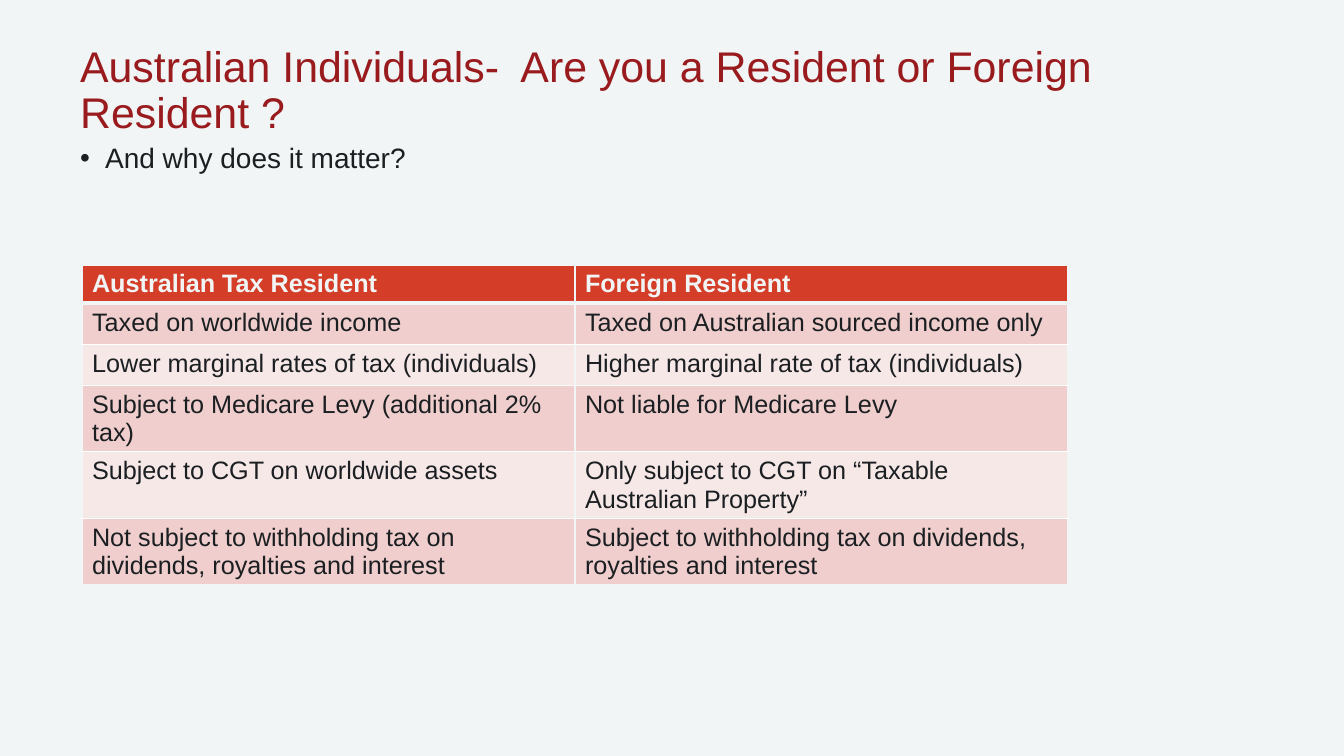
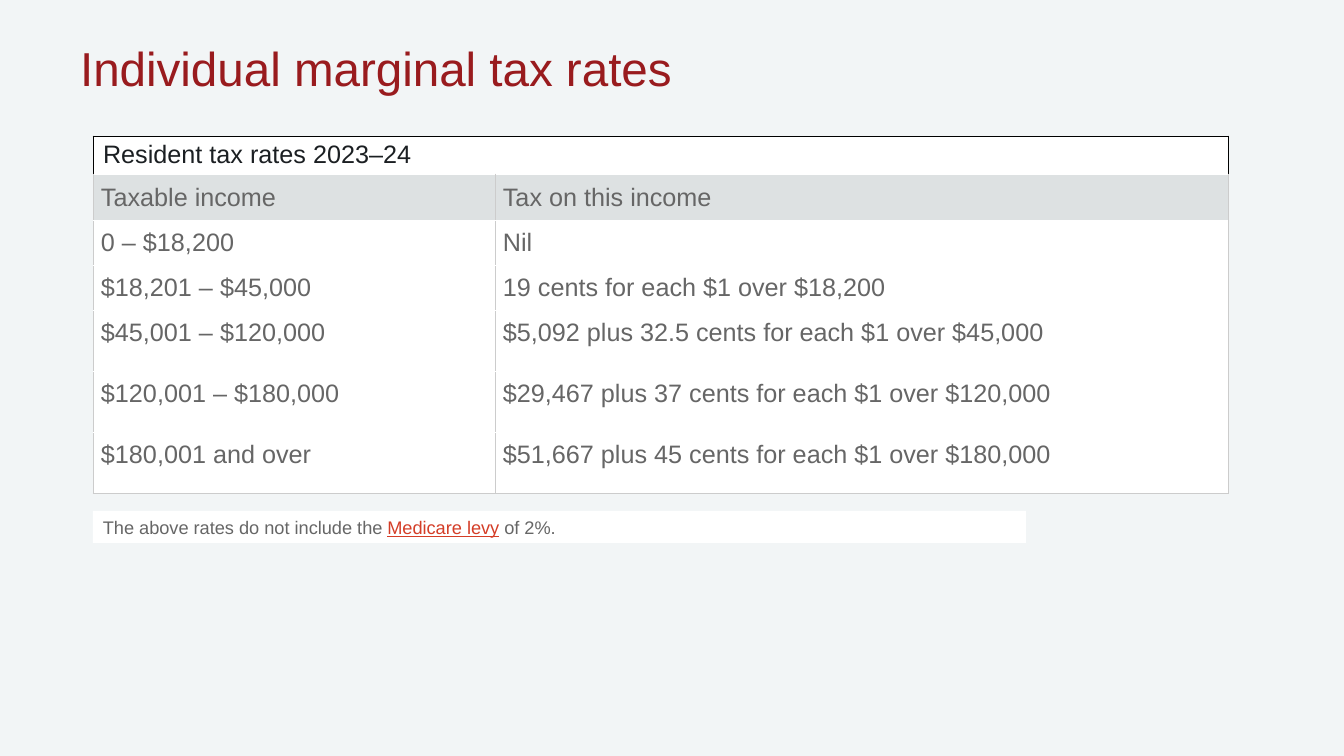
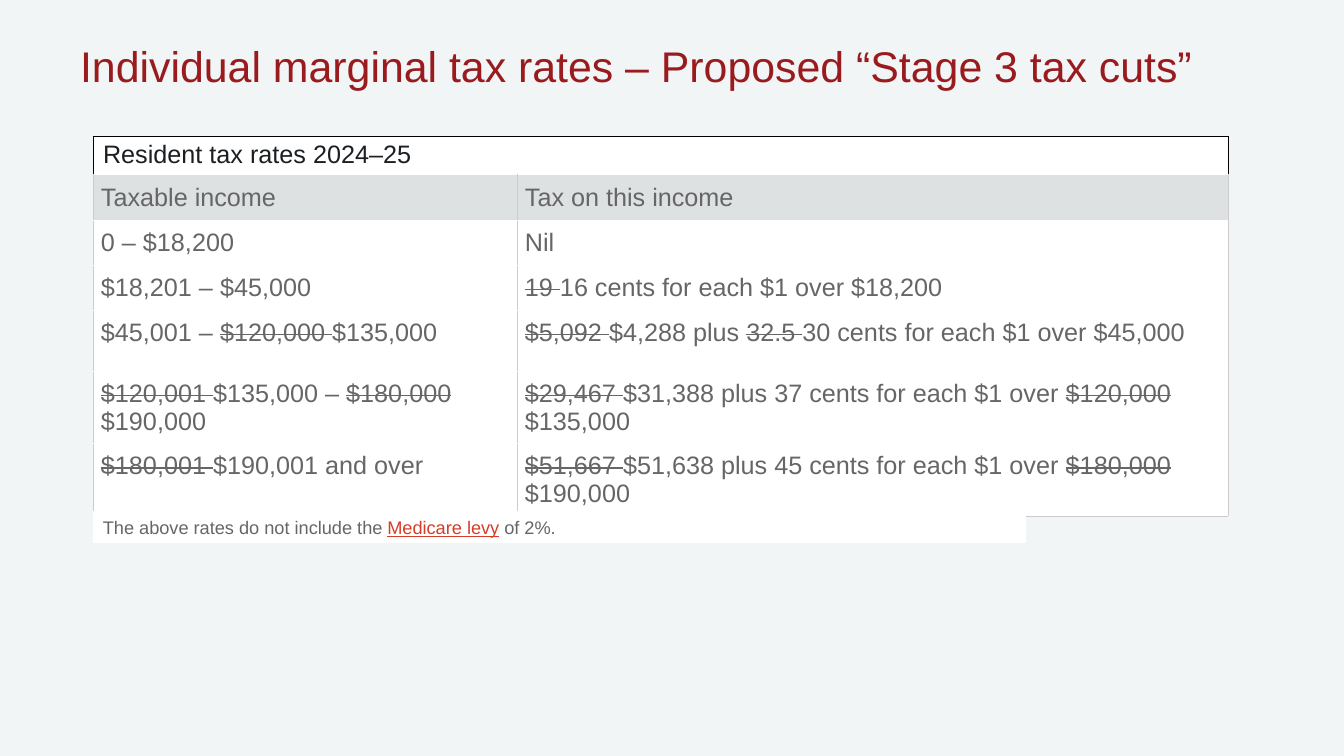
from dataclasses import dataclass
from typing import Sequence, Union

from lxml.etree import SubElement
from pptx import Presentation
from pptx.dml.color import RGBColor
from pptx.enum.shapes import MSO_SHAPE
from pptx.enum.text import MSO_ANCHOR, MSO_AUTO_SIZE, PP_ALIGN
from pptx.oxml.ns import qn
from pptx.slide import Slide
from pptx.util import Emu, Pt

EMU_PER_PIXEL = 12192000 / 1344
FONT = "Arial"
BACKGROUND = "F2F5F6"
TITLE_RED = "991B1E"
ACCENT = "D43D27"
INK = "1B1F22"
GREY = "666666"
WHITE = "FFFFFF"
RULE = "CCCCCC"


@dataclass(frozen=True)
class Run:
    text: str
    color: str = ""
    strike: bool = False
    underline: bool = False


Text = Union[str, Sequence[Run]]


@dataclass(frozen=True)
class RowStyle:
    fill: str
    color: str
    border: str
    sides: str = "LRB"
    width: float = 0.5
    bottom_width: float = 0.5
    bold: bool = False
    inset: int = 0
    anchor: MSO_ANCHOR = MSO_ANCHOR.TOP


@dataclass(frozen=True)
class Row:
    height: int
    style: RowStyle
    cells: Sequence[Text]


@dataclass(frozen=True)
class RateSlide:
    title: str
    title_size: float
    caption: str
    columns: Sequence[int]
    brackets: Sequence[Sequence[Text]]


COMPARISON_HEADER = RowStyle(ACCENT, BACKGROUND, BACKGROUND, "LRTB", 1, 3, True)
COMPARISON_BANDS = [RowStyle(fill, INK, BACKGROUND, width=1, bottom_width=1)
                    for fill in ("EFCECD", "F7E8E8")]
RATE_CAPTION = RowStyle(WHITE, INK, "000000", "LRTB", anchor=MSO_ANCHOR.MIDDLE)
RATE_HEADER = RowStyle("DDE1E2", GREY, RULE, inset=8, anchor=MSO_ANCHOR.MIDDLE)
RATE_BRACKET = RowStyle(WHITE, GREY, RULE, inset=8)
BRACKET_HEIGHTS = (45, 45, 61, 61, 61)

COMPARISON = [
    ("Taxed on worldwide income", "Taxed on Australian sourced income only"),
    ("Lower marginal rates of tax (individuals)", "Higher marginal rate of tax (individuals)"),
    ("Subject to Medicare Levy (additional 2% tax)", "Not liable for Medicare Levy"),
    ("Subject to CGT on worldwide assets", "Only subject to CGT on “Taxable Australian Property”"),
    ("Not subject to withholding tax on dividends, royalties and interest",
     "Subject to withholding tax on dividends, royalties and interest"),
]


def struck(text: str) -> Run:
    return Run(text, strike=True)


RATE_SLIDES = [
    RateSlide("Individual marginal tax rates", 34, "Resident tax rates 2023–24", (402, 733), [
        ("0 – $18,200", "Nil"),
        ("$18,201 – $45,000", "19 cents for each $1 over $18,200"),
        ("$45,001 – $120,000", "$5,092 plus 32.5 cents for each $1 over $45,000"),
        ("$120,001 – $180,000", "$29,467 plus 37 cents for each $1 over $120,000"),
        ("$180,001 and over", "$51,667 plus 45 cents for each $1 over $180,000"),
    ]),
    RateSlide("Individual marginal tax rates – Proposed “Stage 3 tax cuts”", 30.6,
              "Resident tax rates 2024–25", (424, 711), [
        ("0 – $18,200", "Nil"),
        ("$18,201 – $45,000", [struck("19 "), Run("16 cents for each $1 over $18,200")]),
        ([Run("$45,001 – "), struck("$120,000 "), Run("$135,000")],
         [struck("$5,092 "), Run("$4,288 plus "), struck("32.5 "),
          Run("30 cents for each $1 over $45,000")]),
        ([struck("$120,001 "), Run("$135,000 – "), struck("$180,000 "), Run("$190,000")],
         [struck("$29,467 "), Run("$31,388 plus 37 cents for each $1 over "),
          struck("$120,000 "), Run("$135,000")]),
        ([struck("$180,001 "), Run("$190,001 and over")],
         [struck("$51,667 "), Run("$51,638 plus 45 cents for each $1 over "),
          struck("$180,000 "), Run("$190,000")]),
    ]),
]

LEVY_NOTE = [Run("The above rates do not include the "),
             Run("Medicare levy", color=ACCENT, underline=True), Run(" of 2%.")]


def px(length: int) -> Emu:
    return Emu(round(length * EMU_PER_PIXEL))


def rgb(color: str) -> RGBColor:
    return RGBColor.from_string(color)


def write(text_frame, text: Text, *, size: float, color: str, bold: bool = False,
          line_spacing: float = 1.0, space_before: float = 0,
          anchor: MSO_ANCHOR = MSO_ANCHOR.TOP):
    text_frame.word_wrap = True
    text_frame.vertical_anchor = anchor
    paragraph = text_frame.paragraphs[0]
    paragraph.alignment = PP_ALIGN.LEFT
    paragraph.line_spacing = line_spacing
    paragraph.space_before = Pt(space_before)
    for part in [Run(text)] if isinstance(text, str) else text:
        run = paragraph.add_run()
        run.text = part.text
        run.font.name = FONT
        run.font.size = Pt(size)
        run.font.bold = bold
        run.font.underline = part.underline
        run.font.color.rgb = rgb(part.color or color)
        if part.strike:
            run._r.get_or_add_rPr().set("strike", "sngStrike")
    return paragraph


def place(shape, left: int, top: int, width: int, height: int) -> None:
    shape.left, shape.top, shape.width, shape.height = map(px, (left, top, width, height))


def add_slide(presentation, layout: int, title: str, title_size: float) -> Slide:
    slide = presentation.slides.add_slide(presentation.slide_layouts[layout])
    place(slide.shapes.title, 70, 40, 1206, 98)
    text_frame = slide.shapes.title.text_frame
    text_frame.auto_size = MSO_AUTO_SIZE.NONE
    write(text_frame, title, size=title_size, color=TITLE_RED, line_spacing=0.9)
    return slide


def add_bullet(slide: Slide, text: str) -> None:
    body = slide.placeholders[1]
    place(body, 70, 139, 1206, 507)
    body.text_frame.auto_size = MSO_AUTO_SIZE.NONE
    paragraph = write(body.text_frame, text, size=20, color=INK,
                      line_spacing=0.9, space_before=10)
    properties = paragraph._p.get_or_add_pPr()
    properties.set("marL", str(px(25)))
    properties.set("indent", str(px(-25)))
    SubElement(properties, qn("a:buChar"), char="•")


def format_cell(cell, style: RowStyle) -> None:
    properties = cell._tc.get_or_add_tcPr()
    for side in style.sides:
        width = style.bottom_width if side == "B" else style.width
        line = SubElement(properties, qn(f"a:ln{side}"), w=str(Pt(width)))
        SubElement(SubElement(line, qn("a:solidFill")), qn("a:srgbClr"), val=style.border)
    cell.fill.solid()
    cell.fill.fore_color.rgb = rgb(style.fill)
    if style.inset:
        cell.margin_left = cell.margin_right = px(style.inset)
        cell.margin_top = cell.margin_bottom = px(style.inset)
    cell.vertical_anchor = style.anchor


def add_table(slide: Slide, left: int, top: int, columns: Sequence[int],
              rows: Sequence[Row]) -> None:
    height = sum(row.height for row in rows)
    table = slide.shapes.add_table(len(rows), len(columns), px(left), px(top),
                                   px(sum(columns)), px(height)).table
    table.first_row = table.horz_banding = False
    for column, width in zip(table.columns, columns):
        column.width = px(width)
    for index, row in enumerate(rows):
        table.rows[index].height = px(row.height)
        cells = list(table.rows[index].cells)
        for cell in cells:
            format_cell(cell, row.style)
        if len(row.cells) < len(cells):
            cells[0].merge(cells[-1])
        for cell, text in zip(cells, row.cells):
            write(cell.text_frame, text, size=18, color=row.style.color,
                  bold=row.style.bold, anchor=row.style.anchor)


def add_note(slide: Slide, text: Text) -> None:
    note = slide.shapes.add_shape(MSO_SHAPE.RECTANGLE, px(93), px(511), px(933), px(32))
    note.shadow.inherit = False
    note.fill.solid()
    note.fill.fore_color.rgb = rgb(WHITE)
    note.line.fill.background()
    write(note.text_frame, text, size=13, color=GREY, anchor=MSO_ANCHOR.MIDDLE)


def add_comparison_slide(presentation) -> None:
    slide = add_slide(presentation, 1,
                      "Australian Individuals-  Are you a Resident or Foreign Resident ?", 30.6)
    add_bullet(slide, "And why does it matter?")
    rows = [Row(36, COMPARISON_HEADER, ("Australian Tax Resident", "Foreign Resident"))]
    rows += [Row(41, COMPARISON_BANDS[index % 2], cells)
             for index, cells in enumerate(COMPARISON)]
    add_table(slide, 82, 265, (493, 493), rows)


def add_rate_slide(presentation, content: RateSlide) -> None:
    slide = add_slide(presentation, 5, content.title, content.title_size)
    rows = [Row(38, RATE_CAPTION, (content.caption,)),
            Row(46, RATE_HEADER, ("Taxable income", "Tax on this income"))]
    rows += [Row(height, RATE_BRACKET, cells)
             for height, cells in zip(BRACKET_HEIGHTS, content.brackets)]
    add_table(slide, 93, 136, content.columns, rows)
    add_note(slide, LEVY_NOTE)


def main() -> None:
    presentation = Presentation()
    presentation.slide_width, presentation.slide_height = px(1344), px(756)
    background = presentation.slide_master.background.fill
    background.solid()
    background.fore_color.rgb = rgb(BACKGROUND)
    add_comparison_slide(presentation)
    for content in RATE_SLIDES:
        add_rate_slide(presentation, content)
    presentation.save("out.pptx")


if __name__ == "__main__":
    main()
